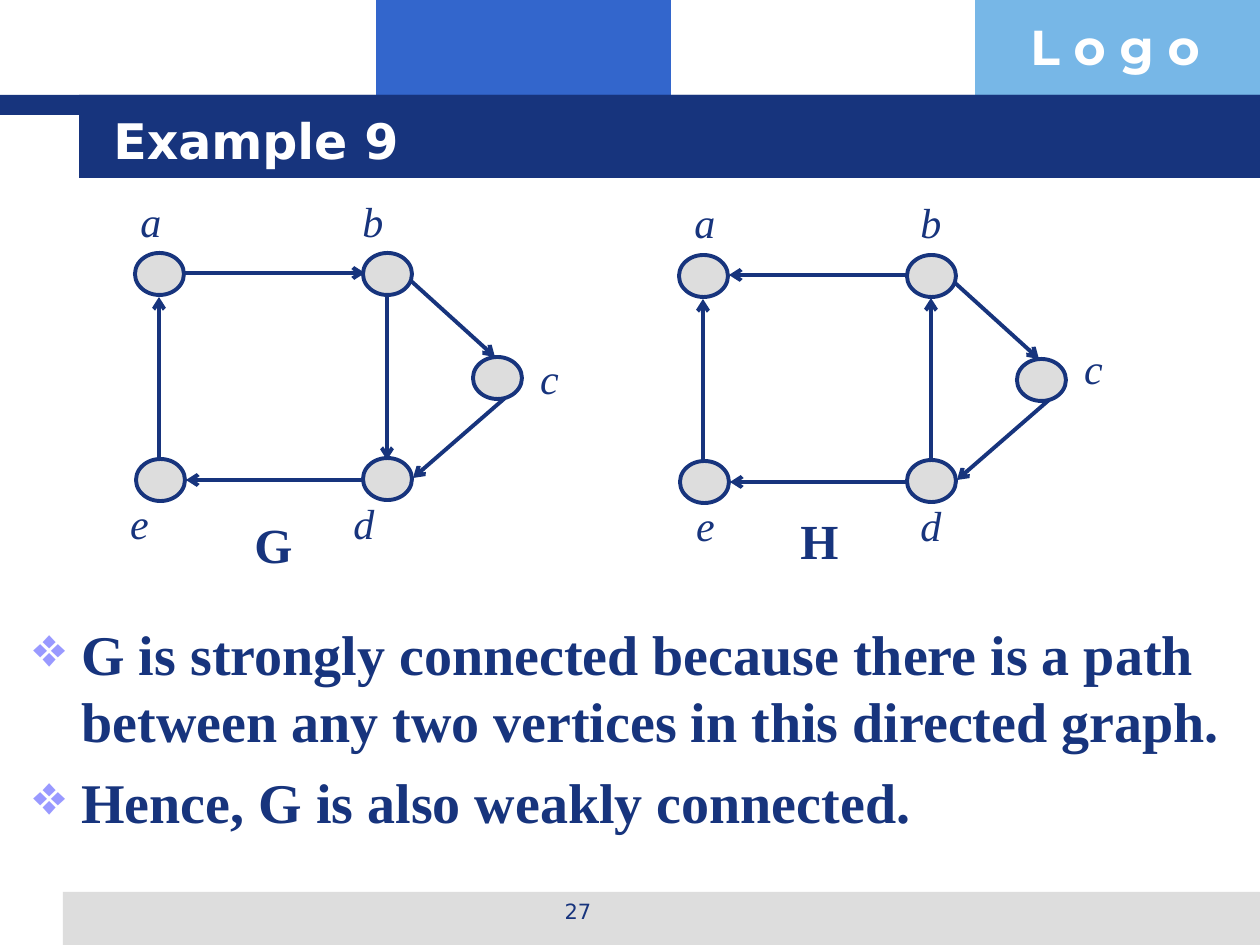
import pptx
import pptx.dml.color
import pptx.enum.shapes
import pptx.enum.text
import pptx.oxml
import pptx.oxml.ns
import pptx.util
from lxml import etree

SCALE = 914400 / 126
NAVY, GREY, WHITE = "17347D", "DDDDDD", "FFFFFF"
SERIF, SANS = "Times New Roman", "DejaVu Sans"
SHAPE = pptx.enum.shapes.MSO_SHAPE
ALIGN = pptx.enum.text.PP_ALIGN
ANCHOR = pptx.enum.text.MSO_ANCHOR

NODES = {"a": (0, 0), "b": (228, 0), "c": (338, 104), "d": (228, 205), "e": (1, 206)}
EDGES = {
    "ab": (50, 20, 230, 20),
    "bd": (252, 43, 252, 207),
    "ea": (24, 206, 24, 44),
    "de": (232, 227, 51, 227),
    "bc": (275, 27, 360, 104),
    "cd": (370, 145, 278, 225),
}


def px(*values):
    """Turn pixel lengths into EMU."""
    return [pptx.util.Emu(round(v * SCALE)) for v in values]


def color(hex_string):
    """Return the RGB colour of a hex string."""
    return pptx.dml.color.RGBColor.from_string(hex_string)


def add_shape(s, kind, box, fill, line=None):
    """Add a filled preset shape, outlined when a line colour is given."""
    sp = s.shapes.add_shape(kind, *px(*box))
    sp.shadow.inherit = False
    sp.fill.solid()
    sp.fill.fore_color.rgb = color(fill)
    if line:
        sp.line.color.rgb = color(line)
        sp.line.width = pptx.util.Pt(2.25)
    else:
        sp.line.fill.background()
    return sp


def add_run(p, text, size, font, fill=NAVY, bold=False, italic=False):
    """Add one styled run to a paragraph."""
    r = p.add_run()
    r.text = text
    r.font.size = pptx.util.Pt(size)
    r.font.name = font
    r.font.bold = bold
    r.font.italic = italic
    r.font.color.rgb = color(fill)


def add_text(s, box, text, size, font, align=ALIGN.LEFT, anchor=ANCHOR.TOP, wrap=True, **style):
    """Add a text box holding a single run."""
    tf = s.shapes.add_textbox(*px(*box)).text_frame
    tf.word_wrap = wrap
    tf.vertical_anchor = anchor
    p = tf.paragraphs[0]
    p.alignment = align
    add_run(p, text, size, font, **style)


def add_arrow(s, x1, y1, x2, y2):
    """Add a straight line with an arrowhead at its end."""
    line = s.shapes.add_connector(
        pptx.enum.shapes.MSO_CONNECTOR.STRAIGHT, *px(x1, y1, x2, y2))
    line.line.color.rgb = color(NAVY)
    line.line.width = pptx.util.Pt(2.25)
    etree.SubElement(line.line._get_or_add_ln(), pptx.oxml.ns.qn("a:tailEnd"), type="arrow")
    etree.SubElement(line._element.spPr, pptx.oxml.ns.qn("a:effectLst"))


def add_frame(s, x, y, w, h):
    """Draw the header blocks, title, footer band and page number."""
    blocks = [
        ((376, 0, 295, 116), "3366CC"),
        ((975, 0, 285, 116), "77B7E7"),
        ((63, 892, w - 63, h - 892), GREY),
        ((0, 95, w, 20), NAVY),
        ((79, 95, w - 79, 83), NAVY),
    ]
    for (left, top, width, height), fill in blocks:
        add_shape(s, SHAPE.RECTANGLE, (x + left, y + top, width, height), fill)
    add_text(s, (x + 1018, y + 10, 242, 72), "L o g o", 28, "Montserrat", fill=WHITE, bold=True)
    add_text(s, (x + 431, y + 892, 294, 44), "27", 12, SANS, align=ALIGN.CENTER)
    add_text(s, (x + 101, y + 101, 1075, 78), "Example 9", 28, SANS,
             anchor=ANCHOR.MIDDLE, fill=WHITE, bold=True)


def add_graph(s, x, y, name, name_at, labels, reverse):
    """Draw a directed graph, turning round the edges named in reverse."""
    for key, (x1, y1, x2, y2) in EDGES.items():
        if key in reverse:
            x1, y1, x2, y2 = x2, y2, x1, y1
        add_arrow(s, x + x1, y + y1, x + x2, y + y2)
    for node, (left, top) in NODES.items():
        add_shape(s, SHAPE.OVAL, (x + left, y + top, 49, 42), GREY, NAVY)
        cx, cy = labels[node]
        add_text(s, (x + cx - 22, y + cy - 32, 45, 63), node, 24, SERIF, align=ALIGN.CENTER,
                 anchor=ANCHOR.MIDDLE, wrap=False, italic=True)
    left, top = name_at
    add_text(s, (x + left, y + top, 63, 72), name, 28, SERIF, wrap=False, bold=True)


def add_bullets(s, x, y, w, h, lines):
    """Write the bulleted statements with hanging indents."""
    tf = s.shapes.add_textbox(*px(x, y, w, h)).text_frame
    tf.word_wrap = True
    indent = px(48)[0]
    for i, text in enumerate(lines):
        p = tf.paragraphs[0] if i == 0 else tf.add_paragraph()
        pPr = p._p.get_or_add_pPr()
        pPr.set("marL", str(indent))
        pPr.set("indent", str(-indent))
        bullet_color = etree.SubElement(pPr, pptx.oxml.ns.qn("a:buClr"))
        etree.SubElement(bullet_color, pptx.oxml.ns.qn("a:srgbClr"), val="9999FF")
        etree.SubElement(pPr, pptx.oxml.ns.qn("a:buChar"), char="❖")
        if i:
            p.space_before = pptx.util.Pt(8)
        add_run(p, text, 32, SERIF, bold=True)


def main():
    """Build the slide and save it."""
    prs = pptx.Presentation()
    prs.slide_width, prs.slide_height = px(1260, 945)
    s = prs.slides.add_slide(prs.slide_layouts[6])
    add_frame(s, 0, 0, 1260, 945)
    add_graph(s, 135, 253, "G", (107, 255), {
        "a": (15, -32), "b": (237, -32), "c": (414, 125), "d": (228, 270), "e": (4, 270),
    }, reverse=())
    add_graph(s, 679, 255, "H", (109, 249), {
        "a": (25, -33), "b": (251, -33), "c": (414, 113), "d": (251, 270), "e": (26, 270),
    }, reverse=("ab", "bd"))
    add_bullets(s, 21, 613, 1229, 256, [
        "G is strongly connected because there is a path between any two vertices "
        "in this directed graph.",
        "Hence, G is also weakly connected.",
    ])
    prs.save("out.pptx")


if __name__ == "__main__":
    main()
